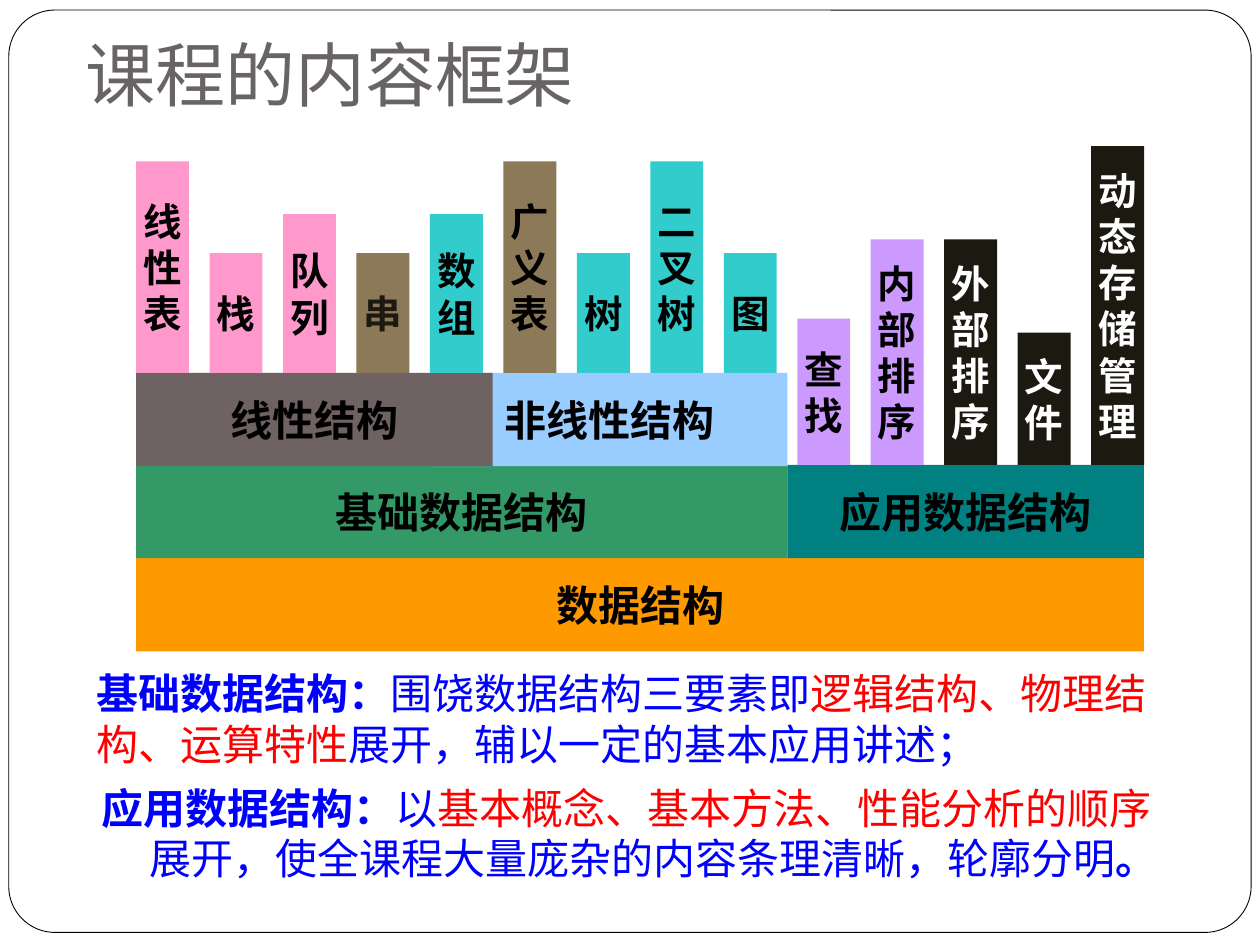
from pptx import Presentation
from pptx.dml.color import RGBColor
from pptx.enum.lang import MSO_LANGUAGE_ID as Lang
from pptx.enum.shapes import MSO_SHAPE as Shape
from pptx.enum.text import MSO_ANCHOR as Anchor, MSO_AUTO_SIZE as Fit, PP_ALIGN as Align
from pptx.util import Inches, Pt

BLACK, WHITE, BLUE, RED = "000000", "FFFFFF", "0000FF", "FF0000"
PINK, TAN, TEAL, LILAC, DARK = "FF99CC", "8C7958", "33CCCC", "CC99FF", "1C1911"


def color(code):
    """Turn a hex string into a colour."""
    return RGBColor.from_string(code)


class Board:
    """Holds the style and the current slide."""

    head, block, bar, note = "Karla", "Arial", "Roboto", "Noto Sans CJK SC"

    def __init__(self, slide):
        """Keep the slide to draw on."""
        self.shapes = slide.shapes

    def style(self, font, name, size, code=None, bold=None):
        """Set the look of a font."""
        font.name, font.size, font.bold = name, Pt(size), bold
        font.language_id = Lang.SIMPLIFIED_CHINESE
        if code:
            font.color.rgb = color(code)

    def rect(self, at, fill, kind=Shape.RECTANGLE):
        """Add a filled shape without line or shadow."""
        shape = self.shapes.add_shape(kind, *map(Inches, at))
        shape.shadow.inherit = False
        shape.fill.solid()
        shape.fill.fore_color.rgb = color(fill)
        shape.line.fill.background()
        return shape

    def frame(self, at):
        """Add the rounded border of the page."""
        shape = self.rect(at, WHITE, Shape.ROUNDED_RECTANGLE)
        shape.adjustments[0] = 0.05
        shape.line.color.rgb = color(BLACK)
        shape.line.width = Pt(0.5)

    def label(self, at, fill, lines, name, size, code=BLACK):
        """Add a box with centred bold lines."""
        frame = self.rect(at, fill).text_frame
        frame.word_wrap = False
        frame.vertical_anchor = Anchor.MIDDLE
        for i, line in enumerate(lines):
            para = frame.add_paragraph() if i else frame.paragraphs[0]
            para.text, para.alignment = line, Align.CENTER
            self.style(para.font, name, size, code, True)

    def text(self, at):
        """Add a wrapping text box and return its frame."""
        frame = self.shapes.add_textbox(*map(Inches, at)).text_frame
        frame.word_wrap = True
        return frame

    def title(self, at, words):
        """Add the heading."""
        frame = self.text(at)
        frame.vertical_anchor = Anchor.BOTTOM
        frame.margin_bottom = Inches(0.1)
        para = frame.paragraphs[0]
        para.text = words
        self.style(para.font, self.head, 40, "696464")

    def remark(self, at, runs, hang=0, before=0):
        """Add a paragraph of (words, colour, bold) runs."""
        frame = self.text(at)
        frame.auto_size = Fit.SHAPE_TO_FIT_TEXT
        para = frame.paragraphs[0]
        para.space_before = Pt(before)
        props = para._p.get_or_add_pPr()
        props.set("marL", str(Inches(hang)))
        props.set("indent", str(-Inches(hang)))
        self.style(para.font, self.note, 24)
        for words, code, bold in runs:
            run = para.add_run()
            run.text = words
            self.style(run.font, self.note, 24, code, bold)


deck = Presentation()
deck.slide_width, deck.slide_height = Inches(10), Inches(7.5)
board = Board(deck.slides.add_slide(deck.slide_layouts[6]))
board.frame((0.07, 0.08, 9.86, 7.32))
board.title((0.58, 0.25, 8.5, 0.77), "课程的内容框架")

LEFT, SPLIT, RIGHT = 1.08, 6.25, 9.08
TOP, MID, LOW = 2.96, 3.69, 4.43
blocks = [
    ("数据结构", LEFT, RIGHT, LOW, "FF9900"),
    ("基础数据结构", LEFT, SPLIT, MID, "339966"),
    ("应用数据结构", SPLIT, RIGHT, MID, "008080"),
    ("非线性结构", 3.42, SPLIT, TOP, "99CCFF"),
    ("线性结构", LEFT, 3.91, TOP, "6E6263"),
]
for words, start, end, top, fill in blocks:
    board.label((start, top, end - start, 0.74), fill, [words], board.block, 24)

bars = [
    ("线性表", 1.68, TOP, PINK, BLACK),
    ("栈", 0.95, TOP, PINK, BLACK),
    ("队列", 1.26, TOP, PINK, BLACK),
    ("串", 0.95, TOP, TAN, DARK),
    ("数组", 1.26, TOP, TEAL, BLACK),
    ("广义表", 1.68, TOP, TAN, BLACK),
    ("树", 0.95, TOP, TEAL, BLACK),
    ("二叉树", 1.68, TOP, TEAL, BLACK),
    ("图", 0.95, TOP, TEAL, BLACK),
    ("查找", 1.16, MID, LILAC, BLACK),
    ("内部排序", 1.79, MID, LILAC, BLACK),
    ("外部排序", 1.79, MID, DARK, WHITE),
    ("文件", 1.05, MID, DARK, WHITE),
    ("动态存储管理", 2.53, MID, DARK, WHITE),
]
WIDE = 0.42
STEP = (RIGHT - LEFT - WIDE) / (len(bars) - 1)
for i, (words, tall, base, fill, ink) in enumerate(bars):
    at = (LEFT + i * STEP, base - tall, WIDE, tall)
    board.label(at, fill, words, board.bar, 22, ink)

board.remark((0.67, 5.25, 8.67, 0.9), [
    ("基础数据结构：", BLUE, True),
    ("围饶数据结构三要素即", BLUE, False),
    ("逻辑结构、物理结构、运算特性", RED, False),
    ("展开，辅以一定的基本应用讲述；", BLUE, False),
])
board.remark((0.71, 6.16, 8.75, 0.9), [
    ("应用数据结构：", BLUE, True),
    ("以", BLUE, False),
    ("基本概念、基本方法、性能分析的顺序", RED, False),
    ("展开，使全课程大量庞杂的内容条理清晰，轮廓分明", BLUE, False),
    ("。", BLUE, True),
], hang=0.38, before=6)

deck.save("out.pptx")
